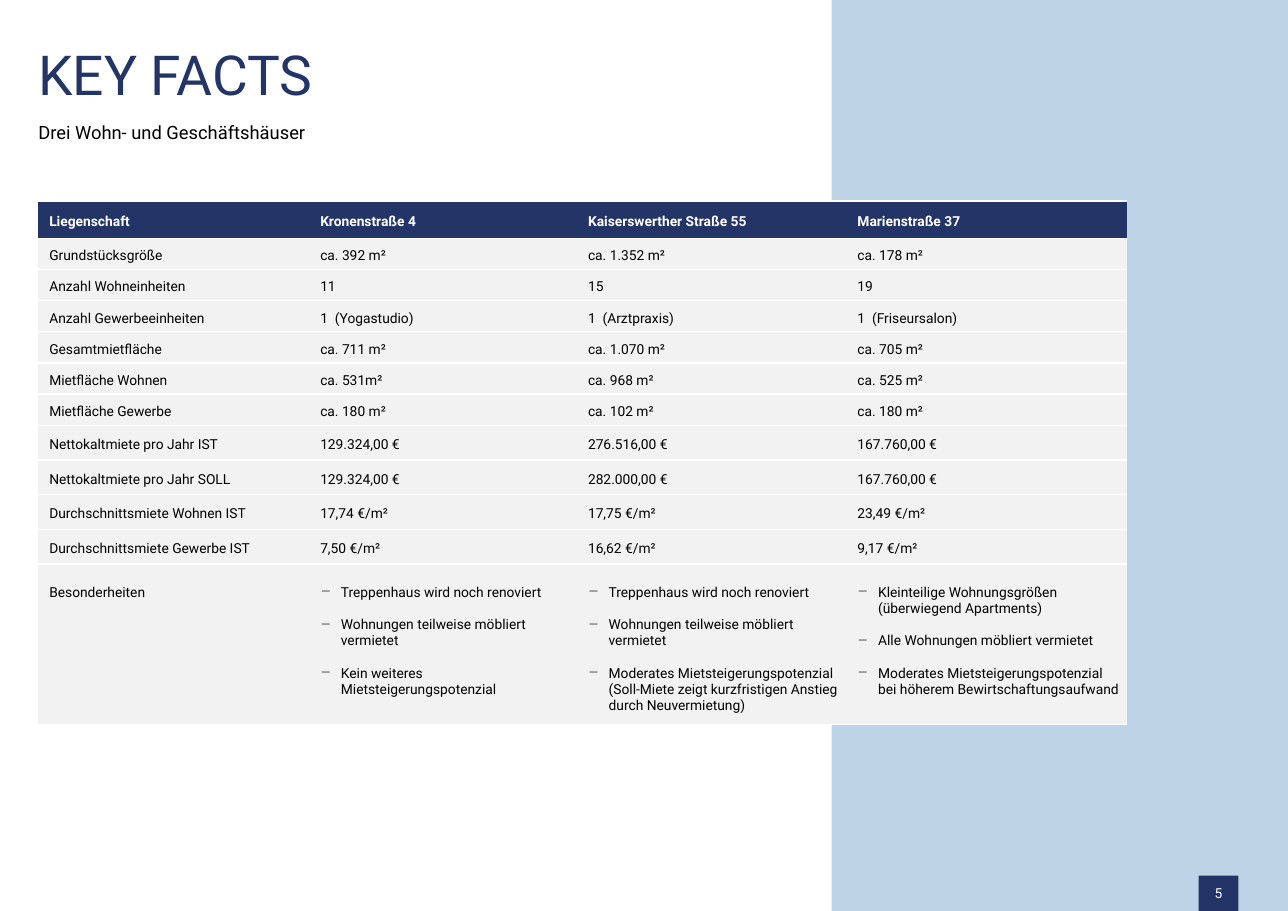
from lxml.etree import Element, SubElement
from pptx import Presentation
from pptx.dml.color import RGBColor
from pptx.enum.shapes import MSO_SHAPE as SHAPE
from pptx.enum.text import MSO_ANCHOR as ANCHOR, MSO_AUTO_SIZE as AUTO, PP_ALIGN as ALIGN
from pptx.oxml.ns import qn
from pptx.util import Pt

TITLE = "KEY FACTS"
SUBTITLE = "Drei Wohn- und Geschäftshäuser"
PAGE = "5"
FACTS = [
    ("Liegenschaft", "Kronenstraße 4", "Kaiserswerther Straße 55", "Marienstraße 37"),
    ("Grundstücksgröße", "ca. 392 m²", "ca. 1.352 m²", "ca. 178 m²"),
    ("Anzahl Wohneinheiten", "11", "15", "19"),
    ("Anzahl Gewerbeeinheiten", "1  (Yogastudio)", "1  (Arztpraxis)", "1  (Friseursalon)"),
    ("Gesamtmietfläche", "ca. 711 m²", "ca. 1.070 m²", "ca. 705 m²"),
    ("Mietfläche Wohnen", "ca. 531m²", "ca. 968 m²", "ca. 525 m²"),
    ("Mietfläche Gewerbe", "ca. 180 m²", "ca. 102 m²", "ca. 180 m²"),
    ("Nettokaltmiete pro Jahr IST", "129.324,00 €", "276.516,00 €", "167.760,00 €"),
    ("Nettokaltmiete pro Jahr SOLL", "129.324,00 €", "282.000,00 €", "167.760,00 €"),
    ("Durchschnittsmiete Wohnen IST", "17,74 €/m²", "17,75 €/m²", "23,49 €/m²"),
    ("Durchschnittsmiete Gewerbe IST", "7,50 €/m²", "16,62 €/m²", "9,17 €/m²"),
    ("Besonderheiten",
     "Treppenhaus wird noch renoviert\n"
     "Wohnungen teilweise möbliert vermietet\n"
     "Kein weiteres Mietsteigerungspotenzial",
     "Treppenhaus wird noch renoviert\n"
     "Wohnungen teilweise möbliert vermietet\n"
     "Moderates Mietsteigerungspotenzial (Soll-Miete zeigt kurzfristigen Anstieg "
     "durch Neuvermietung)",
     "Kleinteilige Wohnungsgrößen (überwiegend Apartments)\n"
     "Alle Wohnungen möbliert vermietet\n"
     "Moderates Mietsteigerungspotenzial bei höherem Bewirtschaftungsaufwand"),
]

FONT = "Roboto"
NAVY = RGBColor(0x23, 0x35, 0x67)
HEADER = RGBColor(0x23, 0x34, 0x66)
SKY = RGBColor(0xBC, 0xD4, 0xE5)
GREY = RGBColor(0xF2, 0xF2, 0xF2)
WHITE = RGBColor(0xFF, 0xFF, 0xFF)
BLACK = RGBColor(0, 0, 0)

SLIDE_W, SLIDE_H = 841.68, 595.44
LEFT = 25
PANEL_X = 543.4
BADGE_X, BADGE_Y, BADGE_W = 783.3, 572.3, 26
TABLE_Y = 131.3
COL_WIDTHS = [177.1, 175, 176.1, 183.2]
ROW_HEIGHTS = [24.4] + [20.4] * 6 + [22.7] * 4 + [105.1]
LINE = 10.55
INDENT = 13.5


def set_font(p, size, color, bold=False):
    for r in p.runs:
        r.font.name, r.font.size, r.font.bold = FONT, Pt(size), bold
        r.font.color.rgb = color


def set_margins(box, left=0, top=0, right=0, bottom=0):
    box.margin_left, box.margin_top = Pt(left), Pt(top)
    box.margin_right, box.margin_bottom = Pt(right), Pt(bottom)


def fill_heading(ph, text, top, height, size, color):
    ph.left, ph.top, ph.width, ph.height = Pt(LEFT), Pt(top), Pt(621.4), Pt(height)
    tf = ph.text_frame
    tf.text = text
    tf.auto_size, tf.vertical_anchor, tf.word_wrap = AUTO.NONE, ANCHOR.TOP, True
    set_margins(tf)
    p = tf.paragraphs[0]
    p.alignment, p.line_spacing, p.space_before = ALIGN.LEFT, 0.9, Pt(0)
    set_bullet(p, None, 0)
    set_font(p, size, color)


def set_bullet(p, char, indent):
    pPr = p._p.get_or_add_pPr()
    pPr.set("marL", str(Pt(indent)))
    pPr.set("indent", str(-Pt(indent)))
    if char:
        SubElement(pPr, qn("a:buChar"), char=char)
    else:
        SubElement(pPr, qn("a:buNone"))


def add_block(s, x, y, w, h, color):
    sp = s.shapes.add_shape(SHAPE.RECTANGLE, Pt(x), Pt(y), Pt(w), Pt(h))
    sp.shadow.inherit = False
    sp.fill.solid()
    sp.fill.fore_color.rgb = color
    sp.line.fill.background()
    return sp


def set_borders(cell):
    tcPr = cell._tc.get_or_add_tcPr()
    for i, side in enumerate(("lnL", "lnR", "lnT", "lnB")):
        ln = Element(qn("a:" + side), w=str(Pt(1)))
        if side in ("lnT", "lnB"):
            SubElement(SubElement(ln, qn("a:solidFill")), qn("a:srgbClr"), val=str(WHITE))
        else:
            SubElement(ln, qn("a:noFill"))
        tcPr.insert(i, ln)


def fill_cell(cell, text, is_header, is_last):
    cell.text = text
    cell.fill.solid()
    cell.fill.fore_color.rgb = HEADER if is_header else GREY
    cell.vertical_anchor = ANCHOR.TOP if is_last else ANCHOR.MIDDLE
    set_margins(cell, 7.2, 2.9 + (LINE if is_last else 0), 5)
    set_borders(cell)
    paragraphs = cell.text_frame.paragraphs
    for i, p in enumerate(paragraphs):
        if len(paragraphs) > 1:
            p.space_before = Pt(LINE if i else 0)
            set_bullet(p, "−", INDENT)
        set_font(p, 9, WHITE if is_header else BLACK, is_header)


def add_facts(s):
    frame = s.shapes.add_table(len(FACTS), len(COL_WIDTHS), Pt(LEFT), Pt(TABLE_Y),
                               Pt(sum(COL_WIDTHS)), Pt(sum(ROW_HEIGHTS)))
    table = frame.table
    table.horz_banding = False
    for col, width in zip(table.columns, COL_WIDTHS):
        col.width = Pt(width)
    for i, (row, height, texts) in enumerate(zip(table.rows, ROW_HEIGHTS, FACTS)):
        row.height = Pt(height)
        for cell, text in zip(row.cells, texts):
            fill_cell(cell, text, i == 0, i == len(FACTS) - 1)


def main():
    prs = Presentation()
    prs.slide_width, prs.slide_height = Pt(SLIDE_W), Pt(SLIDE_H)
    s = prs.slides.add_slide(prs.slide_layouts[1])
    add_block(s, PANEL_X, 0, SLIDE_W - PANEL_X, SLIDE_H, SKY)
    badge = add_block(s, BADGE_X, BADGE_Y, BADGE_W, SLIDE_H - BADGE_Y, NAVY)
    tf = badge.text_frame
    tf.text = PAGE
    set_margins(tf)
    tf.vertical_anchor = ANCHOR.MIDDLE
    tf.paragraphs[0].alignment = ALIGN.CENTER
    set_font(tf.paragraphs[0], 9, WHITE)
    fill_heading(s.shapes.title, TITLE, 31, 50, 36, NAVY)
    fill_heading(s.placeholders[1], SUBTITLE, 80.6, 21.6, 12, BLACK)
    add_facts(s)
    prs.save("out.pptx")


if __name__ == "__main__":
    main()
